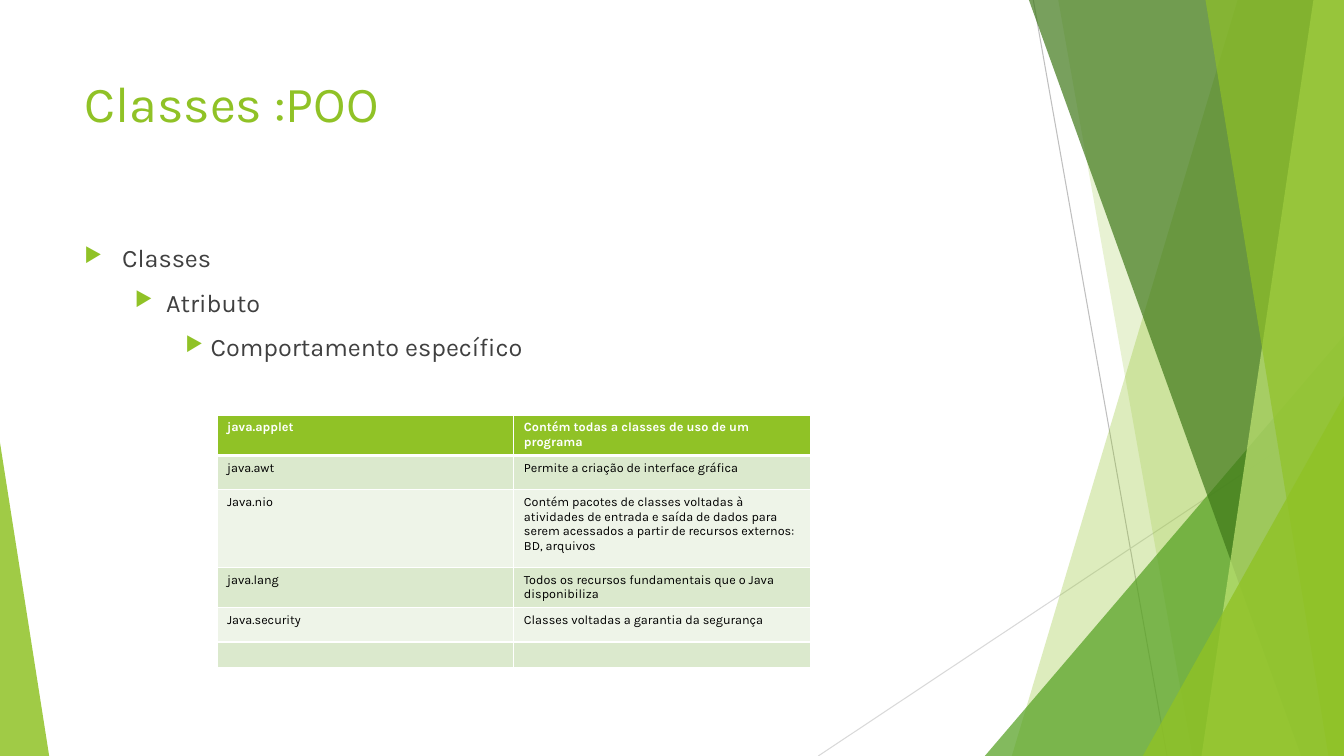
"""Build the slide on Java classes and packages, with its green faceted border."""
import pptx
import pptx.dml.color
import pptx.enum.shapes
import pptx.enum.text
import pptx.oxml
import pptx.oxml.ns
import pptx.util
from lxml import etree

Cm = pptx.util.Cm
Pt = pptx.util.Pt
RGBColor = pptx.dml.color.RGBColor
qn = pptx.oxml.ns.qn

WIDTH, HEIGHT = 33.87, 19.05
FONT = "Karla"
LIME = RGBColor(0x90, 0xC2, 0x26)
GREEN = RGBColor(0x54, 0xA0, 0x21)
FOREST = RGBColor(0x3F, 0x78, 0x19)
PALE = RGBColor(0xC0, 0xE4, 0x74)
GRAY = RGBColor(0xBF, 0xBF, 0xBF)
LIGHT_GRAY = RGBColor(0xD9, 0xD9, 0xD9)
INK = RGBColor(0x40, 0x40, 0x40)
BLACK = RGBColor(0, 0, 0)
WHITE = RGBColor(0xFF, 0xFF, 0xFF)
ROW_FILLS = [RGBColor(0xEE, 0xF4, 0xE8), RGBColor(0xDB, 0xE9, 0xCD)]

TITLE = "Classes :POO"
TITLE_BOX = (1.88, 1.7, 23.88, 3.66)
OUTLINE_BOX = (1.88, 5.99, 23.88, 10.77)
OUTLINE = [
    ("Classes", 0.95, 0.95),
    ("Atributo", 2.06, 0.79),
    ("Comportamento específico", 3.18, 0.64),
]
PACKAGES = [
    ("java.applet", "Contém todas a classes de uso de um programa", 0.99),
    ("java.awt", "Permite a criação de interface gráfica", 0.86),
    ("Java.nio", "Contém pacotes de classes voltadas à atividades de entrada e saída de dados "
     "para serem acessados a partir de recursos externos: BD, arquivos", 1.96),
    ("java.lang", "Todos os recursos fundamentais que o Java disponibiliza", 0.99),
    ("Java.security", "Classes voltadas a garantia da segurança", 0.86),
    ("", "", 0.62),
]
TABLE_LEFT, TABLE_TOP, COLUMN_WIDTH = 5.47, 10.46, 7.48

RULES = [
    (26.04, 0, 29.41, HEIGHT, GRAY),
    (WIDTH, 10.24, 20.62, HEIGHT, LIGHT_GRAY),
]
FACETS = [
    ("band", (31.19, 25.5), LIME, 30),
    ("band", (26.67, 30.05), LIME, 20),
    ("triangle", (24.82, 8.46, 9.05, 1), GREEN, 72),
    ("band", (25.93, 32.79), FOREST, 70),
    ("band", (33.1, 30.28), PALE, 70),
    ("band", (30.38, 33.48), LIME, 65),
    ("triangle", (28.8, 9.98, 5.07, 1), LIME, 80),
    ("triangle", (0, 11.15, 1.24, 0), LIME, 85),
]


def add_rule(page, left, top, right, bottom, color):
    rule = page.shapes.add_connector(pptx.enum.shapes.MSO_CONNECTOR.STRAIGHT,
                                     Cm(left), Cm(top), Cm(right), Cm(bottom))
    rule.line.color.rgb = color
    rule.line.width = Pt(0.75)
    etree.SubElement(rule._element.spPr, qn("a:effectLst"))


def add_facet(page, kind, geometry, color, opacity):
    if kind == "band":
        top_x, bottom_x = geometry
        builder = page.shapes.build_freeform(Cm(top_x), Cm(0))
        corners = [(WIDTH, 0), (WIDTH, HEIGHT), (bottom_x, HEIGHT)]
        builder.add_line_segments([(Cm(x), Cm(y)) for x, y in corners], close=True)
        facet = builder.convert_to_shape()
    else:
        left, top, width, apex = geometry
        facet = page.shapes.add_shape(pptx.enum.shapes.MSO_SHAPE.ISOSCELES_TRIANGLE,
                                      Cm(left), Cm(top), Cm(width), Cm(HEIGHT - top))
        facet.adjustments[0] = apex
    facet.shadow.inherit = False
    facet.line.fill.background()
    facet.fill.solid()
    facet.fill.fore_color.rgb = color
    swatch = facet._element.spPr.find(qn("a:solidFill"))[0]
    etree.SubElement(swatch, qn("a:alpha"), val=str(opacity * 1000))


def add_text_box(page, bounds):
    frame = page.shapes.add_textbox(*map(Cm, bounds)).text_frame
    frame.word_wrap = True
    frame.vertical_anchor = pptx.enum.text.MSO_ANCHOR.TOP
    return frame


def style(para, size, color, bold=False):
    para.font.name = FONT
    para.font.size = Pt(size)
    para.font.color.rgb = color
    para.font.bold = bold


def add_bullet(para, margin, hanging):
    properties = para._p.get_or_add_pPr()
    properties.set("marL", str(Cm(margin)))
    properties.set("indent", str(-Cm(hanging)))
    bullet = pptx.oxml.parse_xml(
        f'<a:pPr {pptx.oxml.ns.nsdecls("a")}><a:buClr><a:srgbClr val="{LIME}"/></a:buClr>'
        '<a:buSzPct val="80000"/><a:buChar char="▶"/></a:pPr>')
    defaults = properties.find(qn("a:defRPr"))
    for part in list(bullet):
        defaults.addprevious(part)


def add_borders(cell, widths):
    properties = cell._tc.get_or_add_tcPr()
    for position, (side, points) in enumerate(widths.items()):
        properties.insert(position, pptx.oxml.parse_xml(
            f'<a:ln{side} {pptx.oxml.ns.nsdecls("a")} w="{Pt(points)}"><a:solidFill>'
            f'<a:srgbClr val="{WHITE}"/></a:solidFill></a:ln{side}>'))


def add_packages(page):
    heights = [height for *_, height in PACKAGES]
    table = page.shapes.add_table(len(PACKAGES), 2, Cm(TABLE_LEFT), Cm(TABLE_TOP),
                                  Cm(2 * COLUMN_WIDTH), Cm(sum(heights))).table
    for column in table.columns:
        column.width = Cm(COLUMN_WIDTH)
    for index, (*texts, height) in enumerate(PACKAGES):
        table.rows[index].height = Cm(height)
        header = index == 0
        for cell, text in zip(table.rows[index].cells, texts):
            cell.text = text
            style(cell.text_frame.paragraphs[0], 9, WHITE if header else BLACK, header)
            cell.fill.solid()
            cell.fill.fore_color.rgb = LIME if header else ROW_FILLS[index % 2]
            add_borders(cell, {"L": 1, "R": 1, "T": 3 if index == 1 else 1,
                               "B": 3 if header else 1})


def main():
    deck = pptx.Presentation()
    deck.slide_width, deck.slide_height = Cm(WIDTH), Cm(HEIGHT)
    page = deck.slides.add_slide(deck.slide_layouts[6])
    for rule in RULES:
        add_rule(page, *rule)
    for facet in FACETS:
        add_facet(page, *facet)

    title = add_text_box(page, TITLE_BOX).paragraphs[0]
    title.text = TITLE
    style(title, 36, LIME)

    frame = add_text_box(page, OUTLINE_BOX)
    for level, (text, margin, hanging) in enumerate(OUTLINE):
        para = frame.add_paragraph() if level else frame.paragraphs[0]
        para.text = text
        para.level = level
        para.space_before = Pt(10)
        style(para, 18, INK)
        add_bullet(para, margin, hanging)

    add_packages(page)
    deck.save("out.pptx")


if __name__ == "__main__":
    main()
